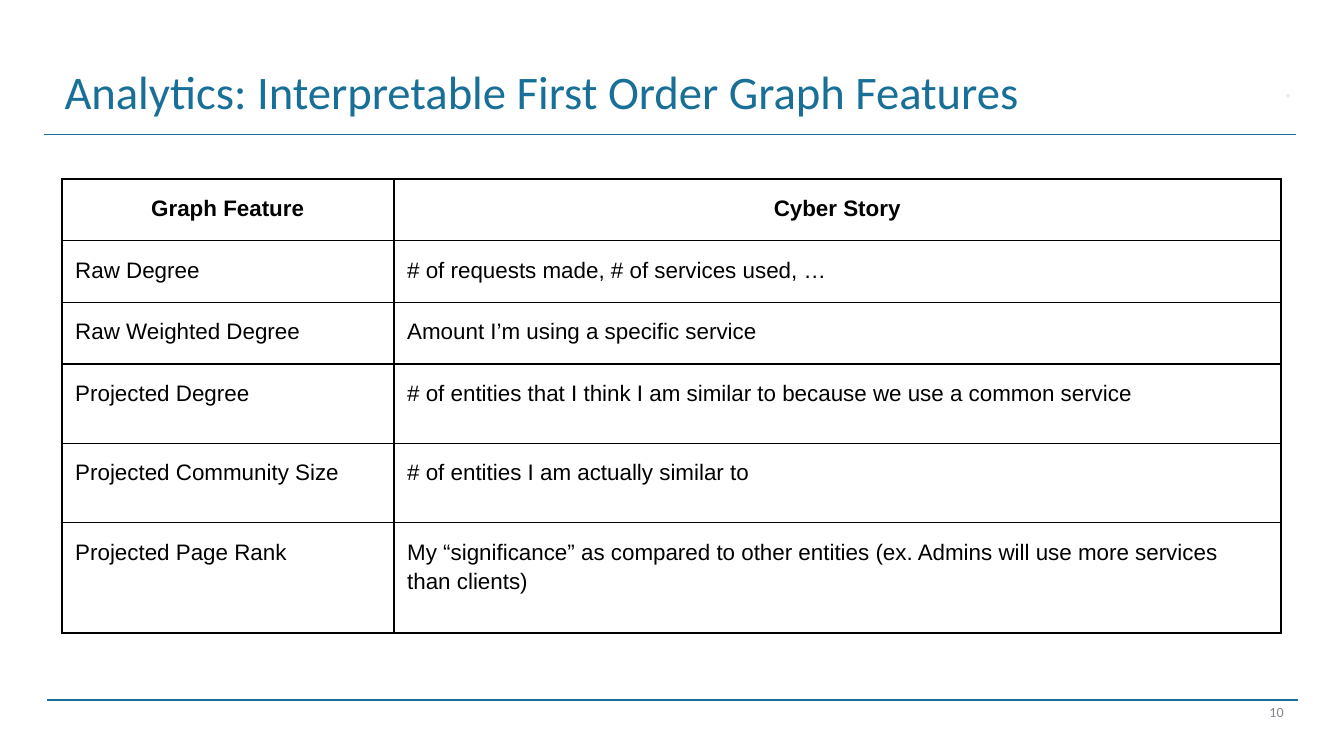
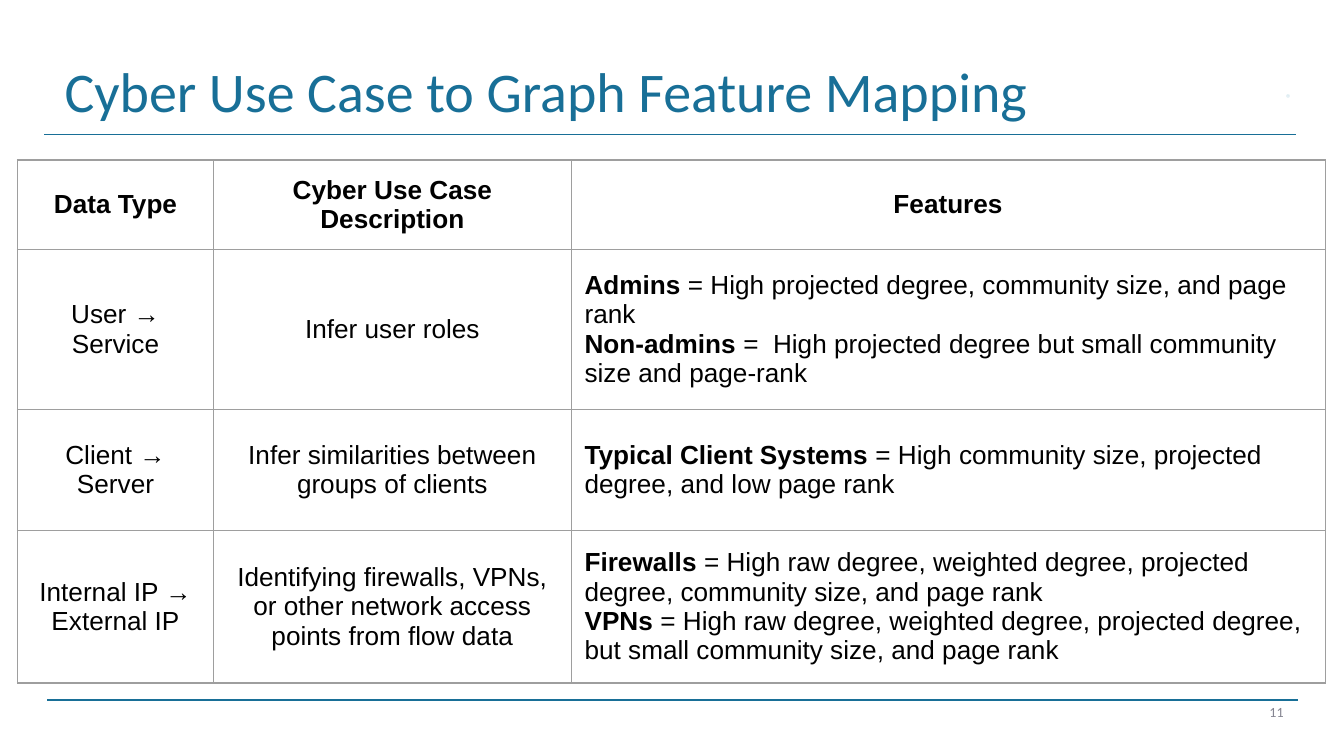
from dataclasses import dataclass

from lxml import etree
from pptx import Presentation
from pptx.dml.color import RGBColor
from pptx.enum.shapes import MSO_CONNECTOR
from pptx.enum.text import MSO_ANCHOR, MSO_AUTO_SIZE, PP_ALIGN
from pptx.oxml.ns import qn
from pptx.util import Inches, Pt


@dataclass(frozen=True)
class Theme:
    accent: str = "186F97"
    mark: str = "C1DCE7"
    number: str = "858591"
    ink: str = "000000"
    paper: str = "FFFFFF"
    heading_font: str = "Calibri"
    table_font: str = "Arial"
    mark_size: float = 6
    number_size: float = 7.5
    rule_width: float = 0.75


THEME = Theme()

# Content: a plain cell is a string; a cell of (bold term, rest) pairs has one paragraph per pair
SLIDES = [
    {
        "number": "10",
        "title": "Analytics: Interpretable First Order Graph Features",
        "title_size": 25,
        "table": {
            "box": (0.46, 1.33, 9.07, 3.37),
            "columns": (2.47, 6.6),
            "rows": (0.46, 0.46, 0.46, 0.59, 0.59, 0.82),
            "border": ("000000", 1),
            "size": 12,
            "line_spacing": 1.15,
            "anchor": MSO_ANCHOR.TOP,
            "centred_columns": (),
            "cells": [
                ("Graph Feature", "Cyber Story"),
                ("Raw Degree", "# of requests made, # of services used, …"),
                ("Raw Weighted Degree", "Amount I’m using a specific service"),
                ("Projected Degree",
                 "# of entities that I think I am similar to because we use a common service"),
                ("Projected Community Size", "# of entities I am actually similar to"),
                ("Projected Page Rank",
                 "My “significance” as compared to other entities "
                 "(ex. Admins will use more services than clients)"),
            ],
        },
    },
    {
        "number": "11",
        "title": "Cyber Use Case to Graph Feature Mapping",
        "title_size": 30,
        "table": {
            "box": (0.13, 1.19, 9.74, 3.89),
            "columns": (1.46, 2.66, 5.61),
            "rows": (0.57, 1.19, 0.9, 0.95),
            "border": ("9E9E9E", 0.75),
            "size": 14,
            "line_spacing": None,
            "anchor": MSO_ANCHOR.MIDDLE,
            "centred_columns": (0, 1),
            "cells": [
                ("Data Type", "Cyber Use Case Description", "Features"),
                ("User → Service", "Infer user roles", [
                    ("Admins", " = High projected degree, community size, and page rank"),
                    ("Non-admins",
                     " =  High projected degree but small community size and page-rank"),
                ]),
                ("Client → Server", "Infer similarities between groups of clients", [
                    ("Typical Client Systems ",
                     "= High community size, projected degree, and low page rank"),
                ]),
                ("Internal IP → External IP",
                 "Identifying firewalls, VPNs, or other network access points from flow data", [
                     ("Firewalls", " = High raw degree, weighted degree, projected degree, "
                                   "community size, and page rank"),
                     ("VPNs", " = High raw degree, weighted degree, projected degree, "
                              "but small community size, and page rank"),
                 ]),
            ],
        },
    },
]


def style_font(font, name, size, colour):
    font.name = name
    font.size = Pt(size)
    font.color.rgb = RGBColor.from_string(colour)


def set_margins(frame, horizontal, vertical):
    frame.margin_left = frame.margin_right = Inches(horizontal)
    frame.margin_top = frame.margin_bottom = Inches(vertical)


# Shared parts
def add_rule(slide, left, right, top):
    rule = slide.shapes.add_connector(
        MSO_CONNECTOR.STRAIGHT, Inches(left), Inches(top), Inches(right), Inches(top))
    rule.line.color.rgb = RGBColor.from_string(THEME.accent)
    rule.line.width = Pt(THEME.rule_width)
    etree.SubElement(rule._element.spPr, qn("a:effectLst"))


def add_label(slide, text, box, size, colour, alignment, anchor):
    frame = slide.shapes.add_textbox(*map(Inches, box)).text_frame
    frame.word_wrap = True
    frame.vertical_anchor = anchor
    set_margins(frame, 0.1, 0.05)
    paragraph = frame.paragraphs[0]
    paragraph.text = text
    paragraph.alignment = alignment
    style_font(paragraph.font, THEME.heading_font, size, colour)


def set_title(slide, text, size):
    title = slide.shapes.title
    title.left, title.top, title.width, title.height = map(Inches, (0.38, 0.33, 9.25, 0.74))
    frame = title.text_frame
    frame.word_wrap = True
    frame.auto_size = MSO_AUTO_SIZE.NONE
    frame.vertical_anchor = MSO_ANCHOR.MIDDLE
    set_margins(frame, 0.1, 0.1)
    paragraph = frame.paragraphs[0]
    paragraph.text = text
    paragraph.alignment = PP_ALIGN.LEFT
    paragraph.line_spacing = 0.9
    style_font(paragraph.font, THEME.heading_font, size, THEME.accent)


def add_frame(slide, number):
    add_rule(slide, 0.35, 9.66, 5.21)
    add_rule(slide, 0.33, 9.64, 1)
    add_label(slide, "®", (9.47, 0.63, 0.45, 0.2), THEME.mark_size, THEME.mark,
              PP_ALIGN.LEFT, MSO_ANCHOR.TOP)
    add_label(slide, number, (9.18, 5.21, 0.47, 0.18), THEME.number_size, THEME.number,
              PP_ALIGN.RIGHT, MSO_ANCHOR.MIDDLE)


# Tables
def set_borders(cell, colour, width):
    properties = cell._tc.get_or_add_tcPr()
    for index, side in enumerate(("lnL", "lnR", "lnT", "lnB")):
        line = etree.Element(qn(f"a:{side}"), w=str(Pt(width)))
        fill = etree.SubElement(line, qn("a:solidFill"))
        etree.SubElement(fill, qn("a:srgbClr"), val=colour)
        properties.insert(index, line)


def fill_cell(cell, content, design, is_header, is_centred):
    cell.fill.solid()
    cell.fill.fore_color.rgb = RGBColor.from_string(THEME.paper)
    set_borders(cell, *design["border"])
    set_margins(cell, 0.1, 0.1)
    cell.vertical_anchor = design["anchor"]
    frame = cell.text_frame
    if isinstance(content, str):
        frame.text = content
    else:
        for index, (term, rest) in enumerate(content):
            paragraph = frame.add_paragraph() if index else frame.paragraphs[0]
            for text, bold in ((term, True), (rest, False)):
                run = paragraph.add_run()
                run.text = text
                run.font.bold = bold
    for paragraph in frame.paragraphs:
        paragraph.alignment = PP_ALIGN.CENTER if is_centred else PP_ALIGN.LEFT
        paragraph.line_spacing = design["line_spacing"]
        paragraph.font.bold = is_header
        style_font(paragraph.font, THEME.table_font, design["size"], THEME.ink)


def add_grid(slide, design):
    columns, rows = design["columns"], design["rows"]
    left, top, width, height = map(Inches, design["box"])
    shape = slide.shapes.add_table(len(rows), len(columns), left, top, width, height)
    table = shape.table
    table.first_row = table.horz_banding = False
    for column, column_width in zip(table.columns, columns):
        column.width = Inches(column_width)
    for row, row_height in zip(table.rows, rows):
        row.height = Inches(row_height)
    # Sizing rows and columns resizes the frame, so its own size comes last
    shape.width, shape.height = width, height
    for row_index, row in enumerate(design["cells"]):
        for column_index, content in enumerate(row):
            is_header = row_index == 0
            is_centred = is_header or column_index in design["centred_columns"]
            fill_cell(table.cell(row_index, column_index), content, design,
                      is_header, is_centred)


def main():
    presentation = Presentation()
    presentation.slide_width = Inches(10)
    presentation.slide_height = Inches(10) * 9 // 16
    title_only = presentation.slide_layouts[5]
    for content in SLIDES:
        slide = presentation.slides.add_slide(title_only)
        set_title(slide, content["title"], content["title_size"])
        add_frame(slide, content["number"])
        add_grid(slide, content["table"])
    presentation.save("out.pptx")


if __name__ == "__main__":
    main()
